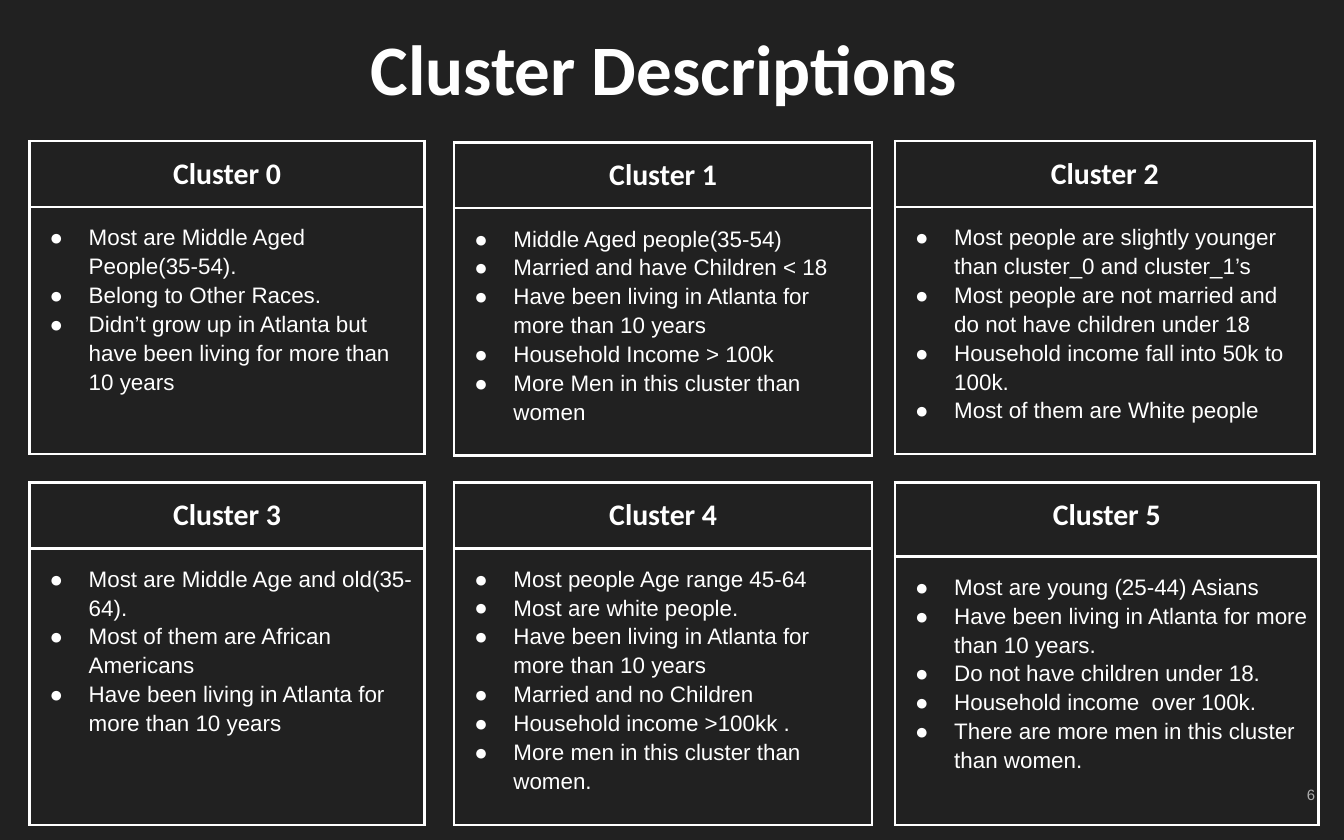
import dataclasses

import lxml.etree
import pptx
import pptx.dml.color
import pptx.enum.text
import pptx.oxml.ns
import pptx.util

Pt = pptx.util.Pt
ALIGN = pptx.enum.text.PP_ALIGN
ANCHOR = pptx.enum.text.MSO_ANCHOR


@dataclasses.dataclass(frozen=True)
class Theme:
    background: str = "212121"
    text: str = "FFFFFF"
    muted: str = "ADADAD"
    heading_font: str = "Calibri"
    body_font: str = "Arial"
    title_size: int = 38
    header_size: int = 16
    body_size: int = 12
    number_size: int = 8
    border: float = 1.5


THEME = Theme()
COLUMN_LEFTS = (15.84, 243.36, 479.52)

# Each cluster: top, width, header height, body height, descriptions
CLUSTERS = [
    (75.6, 211.68, 35.28, 132.48, [
        "Most are Middle Aged People(35-54).",
        "Belong to Other Races.",
        "Didn’t grow up in Atlanta but have been living for more than 10 years",
    ]),
    (76.32, 223.92, 35.28, 132.48, [
        "Middle Aged people(35-54)",
        "Married and have Children < 18",
        "Have been living in Atlanta for more than 10 years",
        "Household Income > 100k",
        "More Men in this cluster than women",
    ]),
    (75.6, 224.64, 35.28, 132.48, [
        "Most people are slightly younger than cluster_0 and cluster_1’s",
        "Most people are not married and do not have children under 18",
        "Household income fall into 50k to 100k.",
        "Most of them are White people",
    ]),
    (258.48, 211.68, 35.28, 148.32, [
        "Most are Middle Age and old(35-64).",
        "Most of them are African Americans",
        "Have been living in Atlanta for more than 10 years",
    ]),
    (258.48, 223.92, 35.28, 133.92, [
        "Most people Age range 45-64",
        "Most are white people.",
        "Have been living in Atlanta for more than 10 years",
        "Married and no Children",
        "Household income >100kk .",
        "More men in this cluster than women.",
    ]),
    (258.48, 226.8, 39.6, 144, [
        "Most are young (25-44) Asians",
        "Have been living in Atlanta for more than 10 years.",
        "Do not have children under 18.",
        "Household income  over 100k.",
        "There are more men in this cluster than women.",
    ]),
]


def rgb(value):
    return pptx.dml.color.RGBColor.from_string(value)


def add_child(parent, tag, **attributes):
    child = lxml.etree.SubElement(parent, pptx.oxml.ns.qn(tag))
    for name, value in attributes.items():
        child.set(name, str(value))
    return child


def add_color(parent):
    add_child(add_child(parent, "a:solidFill"), "a:srgbClr", val=THEME.text)


def style_paragraph(para, name, size, color=THEME.text, bold=False, align=ALIGN.LEFT):
    para.alignment = align
    para.font.name = name
    para.font.size = Pt(size)
    para.font.bold = bold
    para.font.color.rgb = rgb(color)


def add_bullet(para):
    para.line_spacing = 1.15
    properties = para._p.get_or_add_pPr()
    properties.set("marL", str(Pt(28.08)))
    properties.set("indent", str(Pt(-20.88)))
    add_child(add_child(properties, "a:buClr"), "a:srgbClr", val=THEME.text)
    add_child(properties, "a:buFont", typeface=THEME.body_font)
    add_child(properties, "a:buChar", char="●")


def format_cell(cell):
    """Set the margins, white borders and empty fill of a cell."""
    cell.margin_left = cell.margin_right = Pt(3.6)
    cell.margin_top = cell.margin_bottom = Pt(7.92)
    properties = cell._tc.get_or_add_tcPr()
    for side in ("a:lnL", "a:lnR", "a:lnT", "a:lnB"):
        add_color(add_child(properties, side, w=Pt(THEME.border)))
    cell.fill.background()


def add_text(page, text, left, top, width, height, anchor, **style):
    box = page.shapes.add_textbox(Pt(left), Pt(top), Pt(width), Pt(height))
    frame = box.text_frame
    frame.word_wrap = True
    frame.vertical_anchor = anchor
    frame.margin_left = frame.margin_right = Pt(6)
    frame.margin_top = frame.margin_bottom = Pt(6)
    para = frame.paragraphs[0]
    para.text = text
    style_paragraph(para, **style)


def add_cluster(page, title, left, top, width, row_heights, descriptions):
    table = page.shapes.add_table(
        2, 1, Pt(left), Pt(top), Pt(width), Pt(sum(row_heights))).table
    table.first_row = table.horz_banding = False
    for row, height in zip(table.rows, row_heights):
        row.height = Pt(height)
        format_cell(row.cells[0])

    header, body = table.cell(0, 0), table.cell(1, 0)
    header.text = title
    style_paragraph(header.text_frame.paragraphs[0], THEME.heading_font,
                    THEME.header_size, bold=True, align=ALIGN.CENTER)
    body.text = "\n".join(descriptions)
    for para in body.text_frame.paragraphs:
        add_bullet(para)
        style_paragraph(para, THEME.body_font, THEME.body_size)


def main():
    deck = pptx.Presentation()
    deck.slide_width, deck.slide_height = Pt(720), Pt(450)
    page = deck.slides.add_slide(deck.slide_layouts[6])
    page.background.fill.solid()
    page.background.fill.fore_color.rgb = rgb(THEME.background)

    add_text(page, "Cluster Descriptions", 20.16, 7.2, 671.04, 50.4, ANCHOR.TOP,
             name=THEME.heading_font, size=THEME.title_size, bold=True,
             align=ALIGN.CENTER)
    for index, (top, width, header, body, descriptions) in enumerate(CLUSTERS):
        left = COLUMN_LEFTS[index % len(COLUMN_LEFTS)]
        add_cluster(page, f"Cluster {index}", left, top, width,
                    (header, body), descriptions)
    add_text(page, "6", 667.44, 408.24, 43.2, 34.56, ANCHOR.MIDDLE,
             name=THEME.body_font, size=THEME.number_size, color=THEME.muted,
             align=ALIGN.RIGHT)
    deck.save("out.pptx")


if __name__ == "__main__":
    main()
